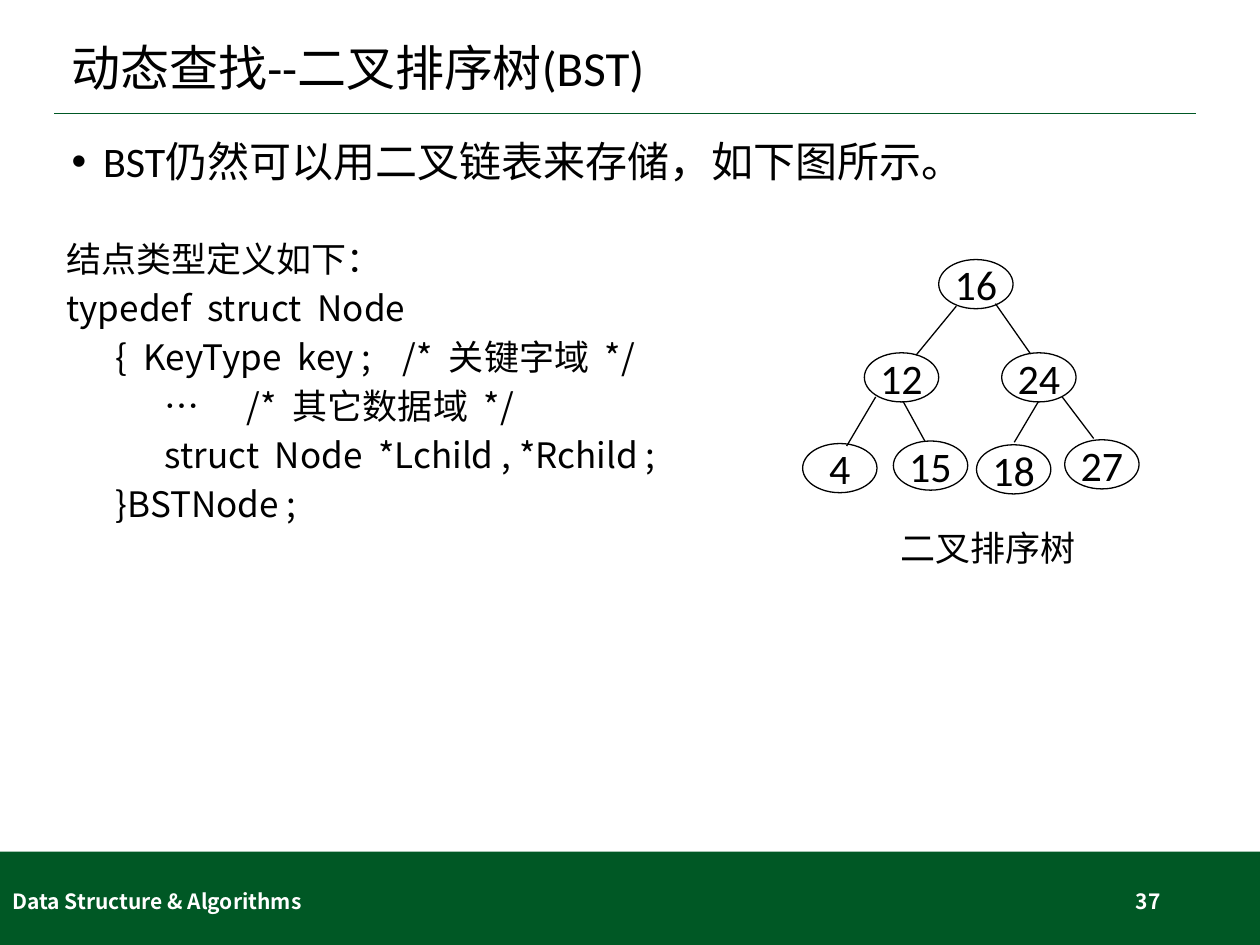
"""Build the slide on storing a binary search tree as linked nodes."""
from lxml import etree
from pptx import Presentation
from pptx.dml.color import RGBColor
from pptx.enum import shapes, text
from pptx.oxml import ns
from pptx.util import Inches, Pt

GREEN, BLACK, WHITE = "005825", "000000", "FFFFFF"
LATIN, CJK = "Calibri", "Noto Sans CJK SC"

TITLE = "动态查找--二叉排序树(BST)"
POINT = "BST仍然可以用二叉链表来存储，如下图所示。"
CODE = [
    (0, "结点类型定义如下："),
    (0, "typedef  struct  Node"),
    (1, "{  KeyType  key ;    /*  关键字域  */"),
    (2, "…      /*  其它数据域  */"),
    (2, "struct  Node  *Lchild , *Rchild ;"),
    (1, "}BSTNode ;"),
]
CAPTION = "二叉排序树"
FOOTER, PAGE = "Data Structure & Algorithms", "37"

NODE_SIZE = (0.59, 0.39)
NODES = {
    "16": (7.45, 2.06), "12": (6.86, 2.8), "24": (7.95, 2.8),
    "4": (6.37, 3.52), "15": (7.09, 3.5), "18": (7.75, 3.53), "27": (8.45, 3.49),
}
BRANCHES = [
    (7.59, 2.43, 7.27, 2.82), (7.9, 2.41, 8.18, 2.81),
    (6.95, 3.15, 6.72, 3.54), (7.17, 3.19, 7.34, 3.5),
    (8.24, 3.19, 8.05, 3.51), (8.43, 3.15, 8.68, 3.48),
]


def color(value):
    return RGBColor.from_string(value)


def inches(values):
    return [Inches(value) for value in values]


def write(frame, lines, size=20, font=CJK, fill=BLACK, bold=False, align="LEFT",
          anchor="MIDDLE", wrap=True, spacing=None, bullet=False):
    frame.word_wrap = wrap
    frame.vertical_anchor = getattr(text.MSO_ANCHOR, anchor)
    for index, (level, words) in enumerate(lines):
        paragraph = frame.paragraphs[0] if index == 0 else frame.add_paragraph()
        paragraph.alignment = getattr(text.PP_ALIGN, align)
        paragraph.line_spacing = spacing
        props = paragraph._p.get_or_add_pPr()
        if level:
            paragraph.level = level
            props.set("marL", str(Inches(0.39 * level)))
            props.set("indent", "0")
        if bullet:
            props.set("marL", str(Inches(0.25)))
            props.set("indent", str(Inches(-0.25)))
            etree.SubElement(props, ns.qn("a:buFont"), typeface="Arial")
            etree.SubElement(props, ns.qn("a:buChar"), char="•")
        run = paragraph.add_run()
        run.text = words
        run.font.size, run.font.bold, run.font.name = Pt(size), bold, font
        run.font.color.rgb = color(fill)
        etree.SubElement(run._r.get_or_add_rPr(), ns.qn("a:ea"), typeface=CJK)


def add_text(parent, words, box, **style):
    lines = [(0, words)] if isinstance(words, str) else words
    write(parent.add_textbox(*inches(box)).text_frame, lines, **style)


def add_line(parent, ends, stroke, width):
    line = parent.add_connector(shapes.MSO_CONNECTOR.STRAIGHT, *inches(ends))
    line.line.color.rgb = color(stroke)
    line.line.width = Pt(width)
    etree.SubElement(line._element.spPr, ns.qn("a:effectLst"))


def add_node(parent, key, place):
    node = parent.add_shape(shapes.MSO_SHAPE.OVAL, *inches(place + NODE_SIZE))
    node.shadow.inherit = False
    node.fill.background()
    node.line.color.rgb = color(BLACK)
    node.line.width = Pt(0.75)
    write(node.text_frame, [(0, key)], size=24, font=LATIN, align="CENTER", wrap=False)


def main():
    deck = Presentation()
    deck.slide_width, deck.slide_height = Inches(10), Inches(7.5)
    slide = deck.slides.add_slide(deck.slide_layouts[6])
    canvas = slide.shapes

    band = canvas.add_shape(shapes.MSO_SHAPE.RECTANGLE, *inches((0, 6.76, 10, 0.74)))
    band.shadow.inherit = False
    band.fill.solid()
    band.fill.fore_color.rgb = color(GREEN)
    band.line.fill.background()
    add_line(canvas, (0.43, 0.9, 9.49, 0.9), GREEN, 1)

    add_text(canvas, TITLE, (0.47, 0.23, 9.06, 0.66), size=28, font=LATIN, spacing=0.9)
    add_text(canvas, POINT, (0.47, 1.07, 9.06, 5.54), size=24, font=LATIN,
             anchor="TOP", spacing=0.9, bullet=True)
    footer_style = dict(size=12, fill=WHITE, bold=True)
    add_text(canvas, FOOTER, (0, 6.95, 3.38, 0.4), **footer_style)
    add_text(canvas, PAGE, (7.06, 6.95, 2.25, 0.4), align="RIGHT", **footer_style)
    add_text(canvas, CODE, (0.43, 1.78, 5.07, 3.33), anchor="TOP", spacing=Pt(28))

    tree = canvas.add_group_shape().shapes
    add_text(tree, CAPTION, (6.68, 4.17, 2.33, 0.35), align="CENTER", wrap=False)
    for key, place in NODES.items():
        add_node(tree, key, place)
    for ends in BRANCHES:
        add_line(tree, ends, BLACK, 0.75)

    deck.save("out.pptx")


if __name__ == "__main__":
    main()
